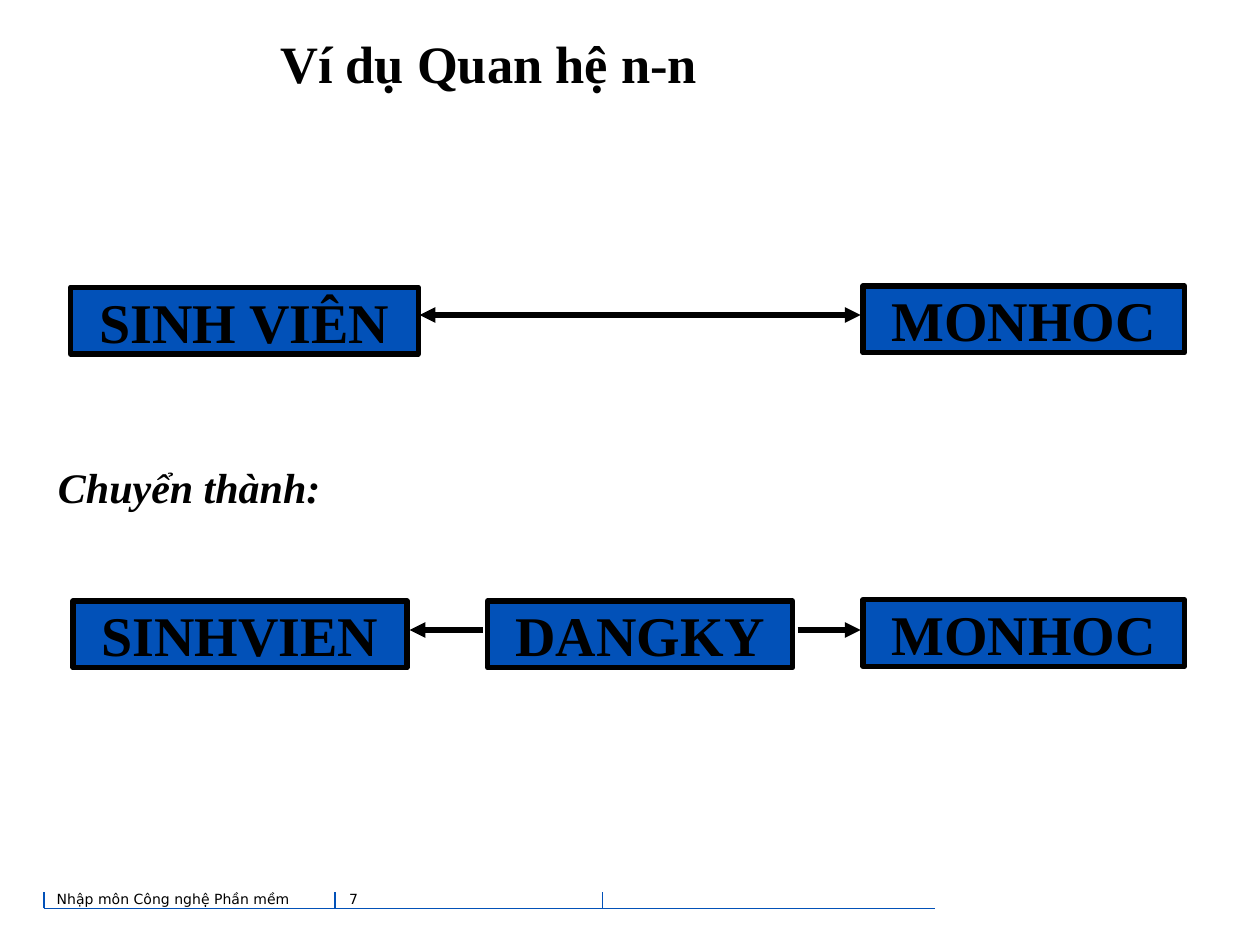
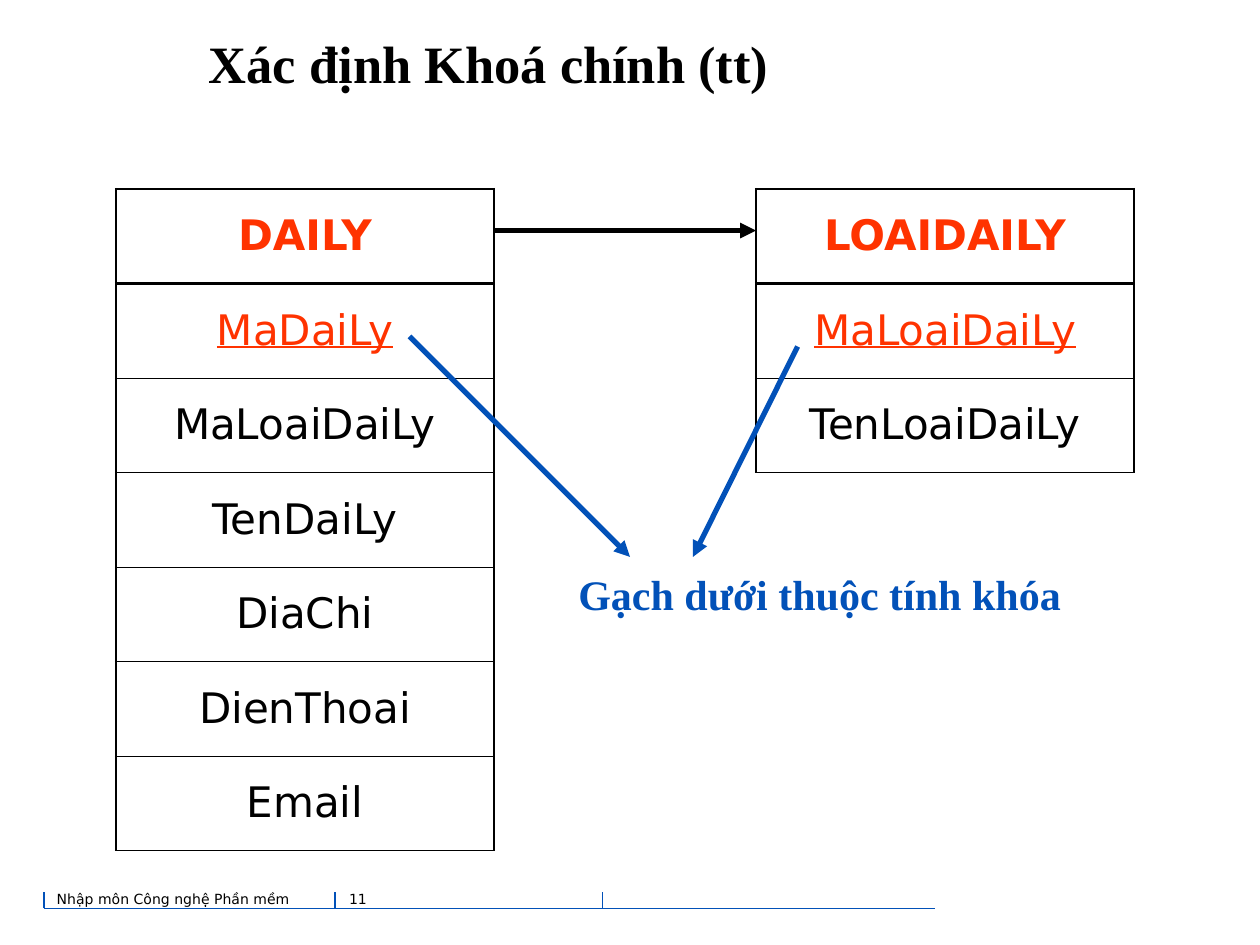
from lxml import etree
from pptx import Presentation
from pptx.dml.color import RGBColor
from pptx.enum.shapes import MSO_CONNECTOR, MSO_SHAPE
from pptx.enum.text import MSO_ANCHOR, PP_ALIGN
from pptx.oxml.ns import qn
from pptx.util import Inches, Pt

LEFT, CENTER = PP_ALIGN.LEFT, PP_ALIGN.CENTER
TOP, MIDDLE = MSO_ANCHOR.TOP, MSO_ANCHOR.MIDDLE
RECTANGLE, STRAIGHT = MSO_SHAPE.RECTANGLE, MSO_CONNECTOR.STRAIGHT

COLUMNS, ROWS = 10, 7.5
BLACK, BLUE, RED = "000000", "0251B8", "FF3300"
SERIF, SANS = "Times New Roman", "DejaVu Sans"
FOOTER = "Nhập môn Công nghệ Phần mềm"
FOOTER_BASE, FOOTER_TICK_TOP = 7.21, 7.08
FOOTER_TICKS = (0.35, 2.66, 4.78)
BOX_HEIGHT, TABLE_WIDTH, TABLE_ROW = 0.53, 3, 0.75
OUTER_LINE, INNER_LINE, LAST_LINE = 1.47, 0.45, 1.08


def color(value):
    return RGBColor.from_string(value)


class Deck:
    def __init__(self):
        self.presentation = Presentation()
        self.presentation.slide_width = Inches(10)
        self.presentation.slide_height = Inches(7.5)
        self.slide = None

    def x(self, columns):
        return round(self.presentation.slide_width * columns / COLUMNS)

    def y(self, rows):
        return round(self.presentation.slide_height * rows / ROWS)

    def place(self, left, top, width, height):
        return self.x(left), self.y(top), self.x(width), self.y(height)

    def add_slide(self, title, number):
        """Start a slide with the shared title and footer."""
        self.slide = self.presentation.slides.add_slide(
            self.presentation.slide_layouts[6])
        self.line((7.42, FOOTER_BASE), (FOOTER_TICKS[0], FOOTER_BASE), BLUE, 0.75)
        for tick in FOOTER_TICKS:
            self.line((tick, FOOTER_BASE), (tick, FOOTER_TICK_TOP), BLUE, 0.75)
        for left, width, text in ((0.41, 2.19, FOOTER), (2.73, 1.25, number)):
            self.text(text, left, 7.03, width, 0.25, size=8, font=SANS,
                      bold=False, margin=0.04)
        self.text(title, 0.17, 0.07, 7.42, 0.85, size=30, align=CENTER,
                  anchor=MIDDLE)

    def set_paragraph(self, paragraph, text, size=24, font=SERIF, fill=BLACK,
                      bold=True, italic=False, underline=False, align=LEFT):
        paragraph.text = text
        paragraph.alignment = align
        paragraph.font.name = font
        paragraph.font.size = Pt(size)
        paragraph.font.bold = bold
        paragraph.font.italic = italic
        paragraph.font.underline = underline
        paragraph.font.color.rgb = color(fill)

    def fill_frame(self, frame, text, anchor=TOP, margin=0, wrap=True, **style):
        frame.word_wrap = wrap
        frame.vertical_anchor = anchor
        frame.margin_left = frame.margin_right = self.x(margin)
        frame.margin_top = frame.margin_bottom = self.y(margin)
        self.set_paragraph(frame.paragraphs[0], text, **style)

    def text(self, text, left, top, width, height, **style):
        shape = self.slide.shapes.add_textbox(*self.place(left, top, width, height))
        self.fill_frame(shape.text_frame, text, **style)

    def entity(self, name, left, top, width):
        shape = self.slide.shapes.add_shape(
            RECTANGLE, *self.place(left, top, width, BOX_HEIGHT))
        shape.shadow.inherit = False
        shape.fill.solid()
        shape.fill.fore_color.rgb = color(BLUE)
        shape.line.color.rgb = color(BLACK)
        shape.line.width = Pt(3)
        self.fill_frame(shape.text_frame, name, anchor=MIDDLE, wrap=False,
                        size=32, align=CENTER)

    def line(self, start, end, stroke=BLACK, width=3.0, ends=()):
        """Draw a line; ends names the ends with arrowheads: headEnd, tailEnd."""
        connector = self.slide.shapes.add_connector(
            STRAIGHT, self.x(start[0]), self.y(start[1]),
            self.x(end[0]), self.y(end[1]))
        connector.line.color.rgb = color(stroke)
        connector.line.width = Pt(width)
        properties = connector._element.spPr
        outline = properties.find(qn("a:ln"))
        for end_name in ends:
            etree.SubElement(outline, qn("a:" + end_name), type="triangle")
        etree.SubElement(properties, qn("a:effectLst"))

    def arrow(self, start, end, stroke=BLACK):
        self.line(start, end, stroke, ends=("tailEnd",))

    def borders(self, cell, top, bottom):
        properties = cell._tc.get_or_add_tcPr()
        edges = (("lnL", OUTER_LINE), ("lnR", OUTER_LINE),
                 ("lnT", top), ("lnB", bottom))
        for index, (edge, width) in enumerate(edges):
            border = etree.Element(qn("a:" + edge), w=str(Pt(width)))
            fill = etree.SubElement(border, qn("a:solidFill"))
            etree.SubElement(fill, qn("a:srgbClr"), val=BLACK)
            properties.insert(index, border)

    def relation(self, left, top, names):
        """Draw a relation: its name, its underlined key, then other attributes."""
        table = self.slide.shapes.add_table(
            len(names), 1,
            *self.place(left, top, TABLE_WIDTH, TABLE_ROW * len(names))).table
        table.first_row = table.horz_banding = False
        rules = [OUTER_LINE, OUTER_LINE]
        rules += [INNER_LINE] * (len(names) - 2) + [LAST_LINE]
        for row, name in enumerate(names):
            cell = table.cell(row, 0)
            cell.fill.background()
            cell.vertical_anchor = MIDDLE
            self.set_paragraph(cell.text_frame.paragraphs[0], name, font=SANS,
                               fill=RED if row < 2 else BLACK, bold=row == 0,
                               underline=row == 1, align=CENTER)
            self.borders(cell, rules[row], rules[row + 1])


def many_to_many(deck):
    deck.add_slide("Ví dụ Quan hệ n-n", "7")
    deck.entity("SINH VIÊN", 0.56, 2.28, 2.76)
    deck.entity("MONHOC", 6.85, 2.27, 2.55)
    deck.line((3.33, 2.5), (6.83, 2.5), ends=("headEnd", "tailEnd"))
    deck.text("Chuyển thành:", 0.46, 3.66, 9.12, 0.4, italic=True)
    deck.entity("SINHVIEN", 0.58, 4.77, 2.65)
    deck.entity("DANGKY", 3.87, 4.77, 2.42)
    deck.entity("MONHOC", 6.85, 4.76, 2.55)
    deck.arrow((3.83, 5), (3.25, 5))
    deck.arrow((6.33, 5), (6.83, 5))


def primary_keys(deck):
    deck.add_slide("Xác định Khoá chính (tt)", "11")
    deck.relation(0.92, 1.5, ("DAILY", "MaDaiLy", "MaLoaiDaiLy", "TenDaiLy",
                              "DiaChi", "DienThoai", "Email"))
    deck.relation(6, 1.5, ("LOAIDAILY", "MaLoaiDaiLy", "TenLoaiDaiLy"))
    deck.arrow((3.92, 1.83), (6, 1.83))
    deck.text("Gạch dưới thuộc tính khóa", 4.59, 4.51, 3.83, 0.4, fill=BLUE,
              align=CENTER, wrap=False)
    deck.arrow((3.25, 2.67), (5, 4.42), BLUE)
    deck.arrow((6.33, 2.75), (5.5, 4.42), BLUE)


def main():
    deck = Deck()
    many_to_many(deck)
    primary_keys(deck)
    deck.presentation.save("out.pptx")


if __name__ == "__main__":
    main()
